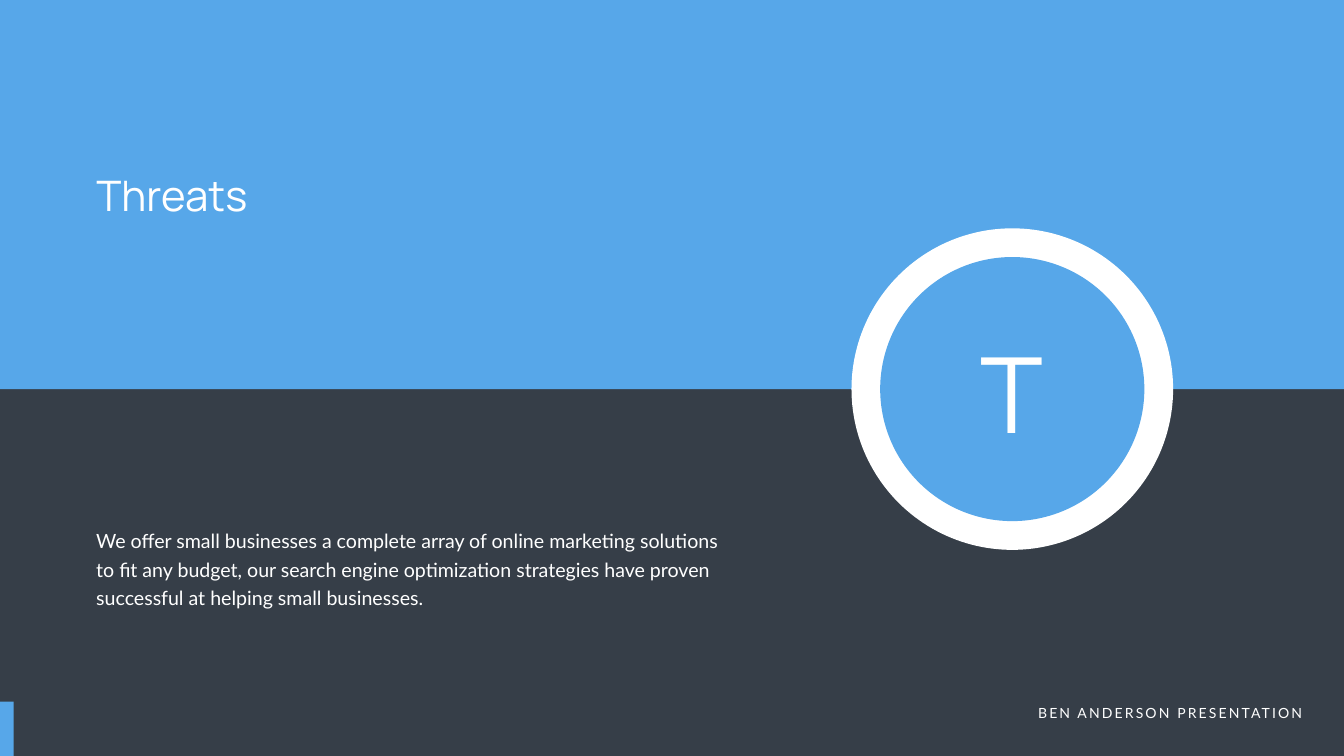
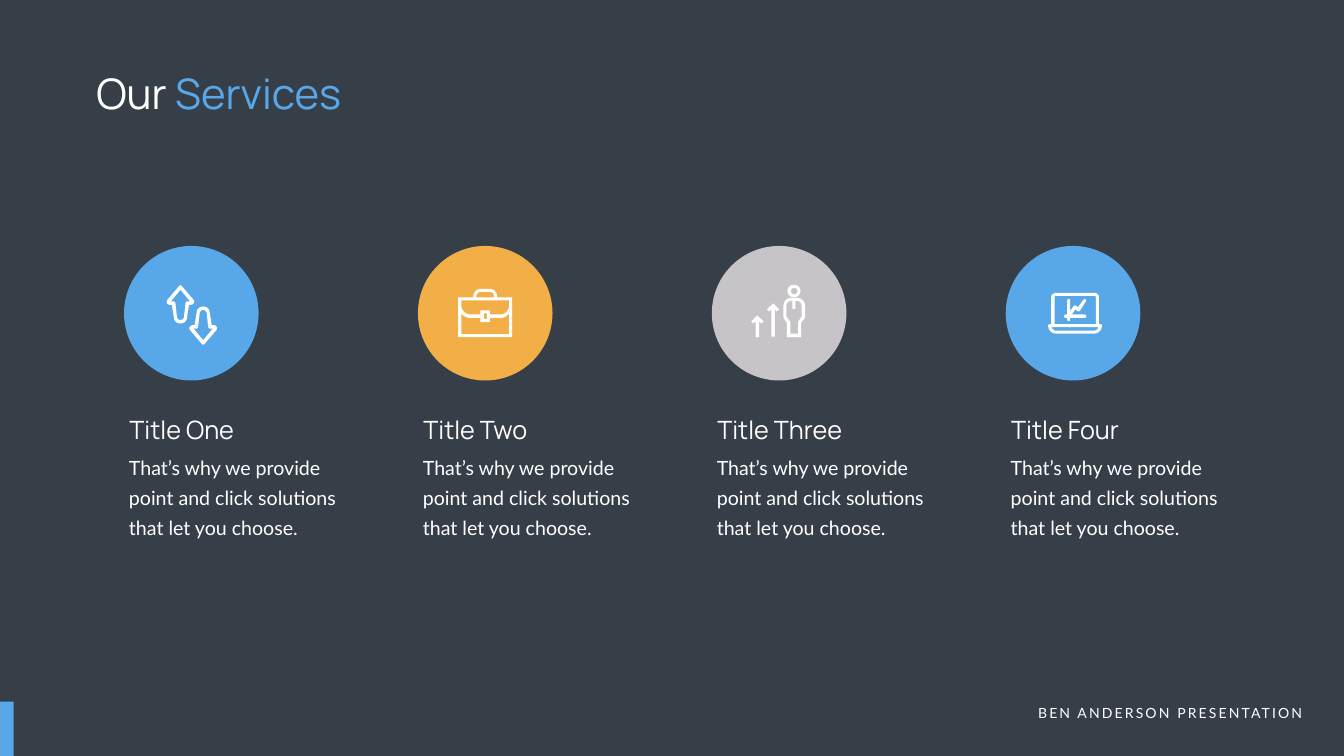
"""Build the Threats and Our Services slides."""
from pptx import Presentation
from pptx.dml.color import RGBColor
from pptx.enum.shapes import MSO_SHAPE as Shape
from pptx.enum.text import MSO_ANCHOR as Anchor, MSO_AUTO_SIZE as AutoSize, PP_ALIGN as Align
from pptx.util import Inches, Pt

COLORS = {
    "dark": "363E48",
    "blue": "57A7E9",
    "orange": "F3AF47",
    "gray": "C7C4C7",
    "white": "FFFFFF",
}
HEADING, BODY = "Manrope", "Lato"
WIDTH, HEIGHT = 26.66, 15
MARGIN = 1.81
FOOTER = "BEN ANDERSON PRESENTATION"
FOOTER_TOP = 13.92

THREATS = (
    "We offer small businesses a complete array of online marketing solutions to fit any budget, "
    "our search engine optimization strategies have proven successful at helping small businesses."
)
SERVICE_TEXT = "That’s why we provide point and click solutions that let you choose."

ARROW = """
M 42 32 C 40 32 38 33 38 35 L 35 63 C 34 67 31 69 28 69 C 25 69 22 67 21 63
L 18 35 C 17 33 16 32 14 32 L 9 32 28 9 47 32
M 55 35 C 56 33 55 30 54 29 L 31 2 C 30 1 29 0 28 0 C 27 0 26 1 25 2
L 2 29 C 1 30 0 33 1 35 C 2 37 4 39 7 39 L 11 39 15 64 C 15 71 21 76 28 76
C 35 76 41 71 41 64 L 45 39 49 39 C 51 39 53 37 55 35"""
BRIEFCASE = """
M 83 51 L 63 51 63 43 44 43 44 51 25 51 C 15 51 6 43 6 33
L 6 23 101 23 101 33 C 101 43 93 51 83 51
M 51 49 L 57 49 57 60 51 60
M 101 90 L 6 90 6 49 C 11 55 17 58 25 58 L 44 58 44 66 63 66 63 58 83 58
C 90 58 96 55 101 49
M 36 15 C 36 10 40 6 45 6 L 62 6 C 67 6 71 10 71 15 L 71 17 36 17
M 77 17 L 77 15 C 77 7 71 0 62 0 L 45 0 C 36 0 30 7 30 15
L 30 17 0 17 0 96 107 96 107 17"""
PERSON = """
M 36 37 L 29 48 29 71 14 71 14 48 6 37 6 16 C 6 10 10 6 15 6
L 18 6 18 22 24 22 24 6 27 6 C 32 6 36 10 36 16
M 27 0 L 15 0 C 7 0 0 7 0 16 L 0 39 7 50 7 78 35 78 35 50 43 39 43 16
C 43 7 36 0 27 0"""
HEAD = """
M 13 6 C 17 6 20 9 20 12 C 20 16 17 19 13 19 C 10 19 7 16 7 12 C 7 9 10 6 13 6
M 13 25 C 20 25 26 19 26 12 C 26 5 20 0 13 0 C 6 0 0 5 0 12 C 0 19 6 25 13 25"""
TALL_ARROW = "M 0 12 L 5 16 9 12 9 66 16 66 16 12 20 16 25 12 13 0"
SHORT_ARROW = "M 0 12 L 5 16 9 11 9 43 16 43 16 11 20 16 25 12 12 0"
LAPTOP = """
M 91 75 L 16 75 C 12 75 8 72 7 68 L 100 68 C 99 72 95 75 91 75
M 13 9 C 13 7 14 6 16 6 L 91 6 C 93 6 95 7 95 9 L 95 62 13 62
M 104 62 L 101 62 101 9 C 101 4 97 0 91 0 L 16 0 C 11 0 6 4 6 9 L 6 62 3 62
C 2 62 0 64 0 65 C 0 74 7 81 16 81 L 91 81 C 100 81 107 74 107 65
C 107 64 106 62 104 62"""
CHART = """
M 26 24 C 26 25 27 25 28 25 C 29 25 30 25 31 24 L 43 5 C 44 4 44 2 42 1
C 41 0 39 0 38 2 L 27 17 24 14 C 23 13 22 13 21 13 C 20 13 20 13 19 14
L 12 24 12 3 C 12 2 11 0 9 0 C 8 0 6 2 6 3 L 6 31 3 31 C 1 31 0 33 0 35
C 0 36 1 38 3 38 L 6 38 6 41 C 6 43 8 44 9 44 C 11 44 12 43 12 41
L 12 38 40 38 C 42 38 44 36 44 35 C 44 33 42 31 40 31 L 15 31 22 21"""

SERVICES = [
    ("Title One", "blue", [(ARROW, 0.84, 0.78, 0), (ARROW, 1.29, 1.2, 180)]),
    ("Title Two", "orange", [(BRIEFCASE, 0.8, 0.85, 0)]),
    ("Title Three", "gray", [
        (PERSON, 1.42, 1.03, 0),
        (HEAD, 1.5, 0.77, 0),
        (TALL_ARROW, 1.09, 1.14, 0),
        (SHORT_ARROW, 0.78, 1.38, 0),
    ]),
    ("Title Four", "blue", [(LAPTOP, 0.84, 0.93, 0), (CHART, 1.16, 1.05, 0)]),
]
SERVICE_LEFT, SERVICE_STEP = 2.46, 5.83
CIRCLE_TOP, CIRCLE_SIZE = 4.88, 2.67
CURVE_STEPS = 6
UNITS_PER_INCH = 1000


def color(name):
    return RGBColor.from_string(COLORS[name])


def paint(shape, fill):
    shape.shadow.inherit = False
    shape.fill.solid()
    shape.fill.fore_color.rgb = color(fill)
    shape.line.fill.background()


def add_block(shapes, kind, left, top, width, height, fill):
    block = shapes.add_shape(kind, Inches(left), Inches(top), Inches(width), Inches(height))
    paint(block, fill)


def write(box, spans, font, size, align=Align.LEFT, line=None, spacing=None):
    frame = box.text_frame
    frame.word_wrap = True
    frame.auto_size = AutoSize.NONE
    frame.vertical_anchor = Anchor.MIDDLE
    para = frame.paragraphs[0]
    para.alignment = align
    if line:
        para.line_spacing = Pt(line)
    para.font.name = font
    para.font.size = Pt(size)
    para.font.color.rgb = color("white")
    for text, tint in spans:
        span = para.add_run()
        span.text = text
        if tint != "white":
            span.font.color.rgb = color(tint)
        if spacing:
            span.font._element.set("spc", str(spacing * 100))


def add_text(shapes, text, left, top, width, height, font, size, **style):
    box = shapes.add_textbox(Inches(left), Inches(top), Inches(width), Inches(height))
    write(box, [(text, "white")], font, size, **style)


def add_title(page, spans, top, width):
    title = page.shapes.title
    title.left, title.top = Inches(MARGIN), Inches(top)
    title.width, title.height = Inches(width), Inches(1.11)
    write(title, spans, HEADING, 60)
    page.shapes._spTree.append(title._element)


def add_footer(page):
    add_text(page.shapes, FOOTER, 20.08, FOOTER_TOP, 5.85, 0.44, BODY, 20,
             align=Align.RIGHT, spacing=3)
    add_block(page.shapes, Shape.RECTANGLE, 0, FOOTER_TOP, 0.27, HEIGHT - FOOTER_TOP, "blue")


def bezier(points, t):
    weights = ((1 - t) ** 3, 3 * t * (1 - t) ** 2, 3 * t ** 2 * (1 - t), t ** 3)
    return tuple(sum(w * p[axis] for w, p in zip(weights, points)) for axis in (0, 1))


def trace(outline):
    """Turn an outline in hundredths of an inch into lists of points."""
    contours = []
    for command in outline.replace("M", "|M").replace("L", "|L").replace("C", "|C").split("|")[1:]:
        numbers = [int(number) * UNITS_PER_INCH // 100 for number in command[1:].split()]
        points = list(zip(numbers[::2], numbers[1::2]))
        if command[0] == "M":
            contours.append(points)
        elif command[0] == "L":
            contours[-1].extend(points)
        else:
            controls = [contours[-1][-1]] + points
            contours[-1].extend(bezier(controls, step / CURVE_STEPS)
                                for step in range(1, CURVE_STEPS + 1))
    return contours


def add_icon(shapes, outline, left, top, rotation):
    contours = trace(outline)
    builder = shapes.build_freeform(*contours[0][0], scale=Inches(1) / UNITS_PER_INCH)
    for index, contour in enumerate(contours):
        if index:
            builder.move_to(*contour[0])
        builder.add_line_segments(contour[1:], close=True)
    icon = builder.convert_to_shape(Inches(left), Inches(top))
    icon.rotation = rotation
    paint(icon, "white")


def build_threats(page):
    add_block(page.shapes, Shape.RECTANGLE, 0, 0, WIDTH, 7.72, "blue")
    emblem = page.shapes.add_group_shape().shapes
    add_block(emblem, Shape.OVAL, 16.89, 4.53, 6.38, 6.38, "white")
    add_block(emblem, Shape.OVAL, 17.46, 5.1, 5.24, 5.24, "blue")
    add_text(emblem, "T", 18.26, 6.45, 3.64, 2.63, HEADING, 150, align=Align.CENTER)
    add_text(page.shapes, THREATS, MARGIN, 10.36, 12.71, 1.77, BODY, 28, line=40.8)
    add_footer(page)
    add_title(page, [("Threats", "white")], 3.3, 4.57)


def build_services(page):
    add_title(page, [("Our ", "white"), ("Services", "blue")], 1.28, 14.34)
    add_footer(page)
    for index, (name, fill, icons) in enumerate(SERVICES):
        left = SERVICE_LEFT + index * SERVICE_STEP
        add_block(page.shapes, Shape.OVAL, left, CIRCLE_TOP, CIRCLE_SIZE, CIRCLE_SIZE, fill)
        caption = page.shapes.add_group_shape().shapes
        add_text(caption, SERVICE_TEXT, left, 8.88, 4.61, 1.85, BODY, 28, line=43)
        add_text(caption, name, left + 0.01, 8.16, 3.66, 0.71, HEADING, 36)
        drawing = page.shapes.add_group_shape().shapes if len(icons) > 1 else page.shapes
        for outline, across, down, rotation in icons:
            add_icon(drawing, outline, left + across, CIRCLE_TOP + down, rotation)


def main():
    deck = Presentation()
    deck.slide_width, deck.slide_height = Inches(WIDTH), Inches(HEIGHT)
    backdrop = deck.slide_master.background.fill
    backdrop.solid()
    backdrop.fore_color.rgb = color("dark")
    for build in (build_threats, build_services):
        build(deck.slides.add_slide(deck.slide_layouts[5]))
    deck.save("out.pptx")


if __name__ == "__main__":
    main()
